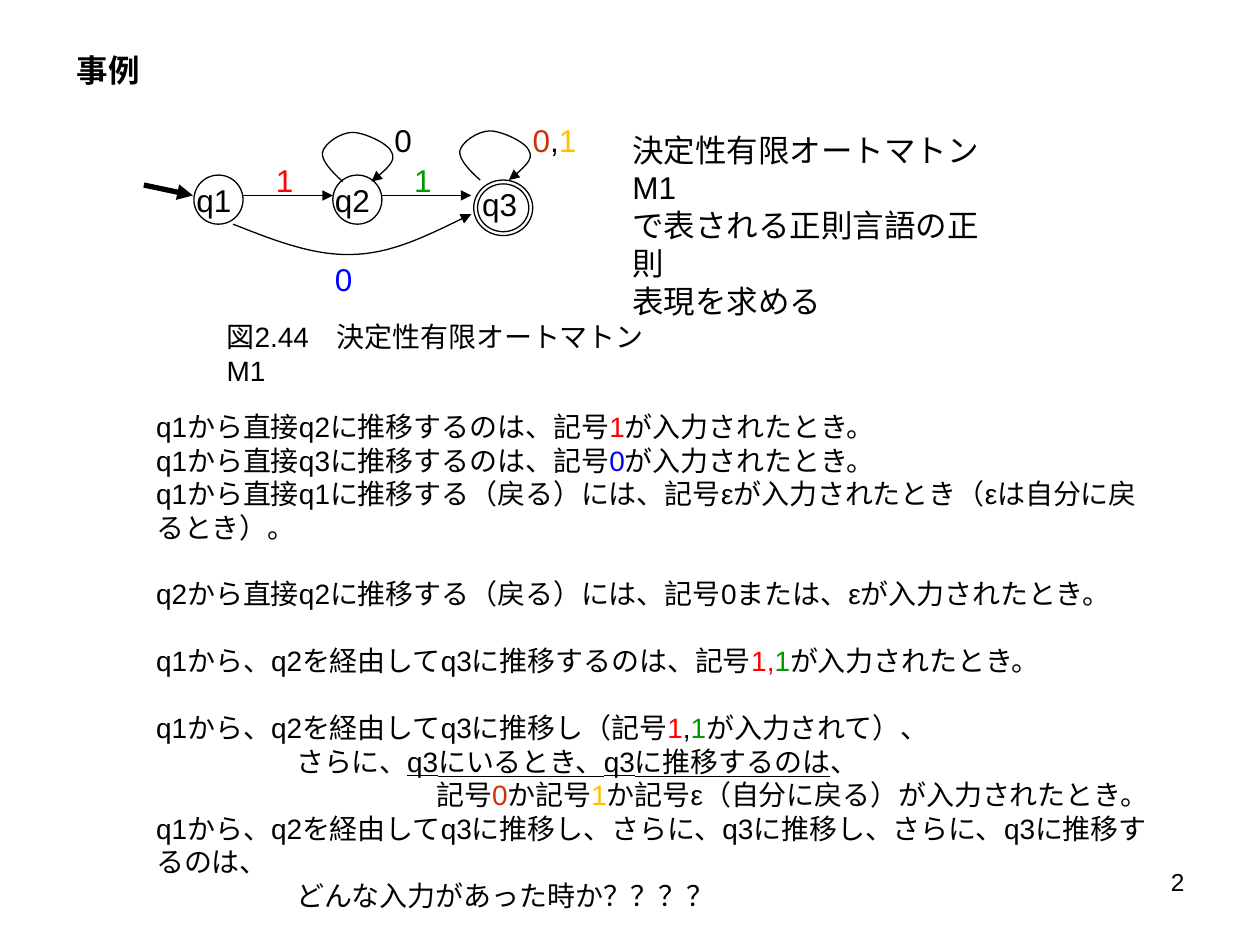
"""Build a slide about the regular expression of the finite automaton M1."""
import pptx
import pptx.dml.color
import pptx.enum.shapes
import pptx.enum.text
import pptx.oxml
import pptx.oxml.ns
import pptx.util
from pptx.util import Cm

COLORS = {"black": "000000", "red": "FF0000", "blue": "0000FF", "green": "009900",
          "brown": "CC3300", "gold": "FFC000"}

TEXTS = [
    ((1.3, 0.91, 21.21, 1.02), 18, True, [["事例"]]),
    ((12.5, 2.51, 7.82, 2.54), 18, False,
     [["決定性有限オートマトンM1"], ["で表される正則言語の正則"], ["表現を求める"]]),
    ((4.32, 6.32, 9.04, 0.94), 16, False, [["図2.44　決定性有限オートマトンM1"]]),
]
LABELS = [
    (3.71, 3.53, 1.22, ["q1"]),
    (6.5, 3.53, 1.22, ["q2"]),
    (9.47, 3.61, 1.7, ["q3"]),
    (6.5, 5.11, 0.86, [("0", "blue")]),
    (5.31, 3.12, 0.86, [("1", "red")]),
    (8.1, 3.12, 0.86, [("1", "green")]),
    (7.7, 2.31, 0.86, ["0"]),
    (10.49, 2.31, 2, [("0", "brown"), ",", ("1", "gold")]),
]
BODY_BOX = (2.9, 8.13, 20.78, 9.83)
BODY = [
    (0, 0, ["q1から直接q2に推移するのは、記号", ("1", "red"), "が入力されたとき。"]),
    (0, 0, ["q1から直接q3に推移するのは、記号", ("0", "blue"), "が入力されたとき。"]),
    (0, 0, ["q1から直接q1に推移する（戻る）には、記号εが入力されたとき（εは自分に戻るとき）。"]),
    (1, 0, ["q2から直接q2に推移する（戻る）には、記号0または、εが入力されたとき。"]),
    (1, 0, ["q1から、q2を経由してq3に推移するのは、記号", ("1,", "red"), ("1", "green"),
            "が入力されたとき。"]),
    (1, 0, ["q1から、q2を経由してq3に推移し（記号", ("1", "red"), ",", ("1", "green"),
            "が入力されて）、"]),
    (0, 5, ["さらに、", ("q3にいるとき、q3に推移するのは", "black", True), "、"]),
    (0, 10, ["記号", ("0", "brown"), "か記号", ("1", "gold"),
             "か記号ε（自分に戻る）が入力されたとき。"]),
    (0, 0, ["q1から、q2を経由してq3に推移し、さらに、q3に推移し、さらに、q3に推移するのは、"]),
    (0, 5, ["どんな入力があった時か？？？？"]),
]
BODY_SIZE = 16
BODY_GAP = 19
STATES = [("OVAL", (3.91, 3.53, 0.99, 0.99)), ("OVAL", (6.71, 3.53, 0.99, 0.99)),
          ("DONUT", (9.55, 3.63, 1.19, 1.12))]
ARROWS = [((4.9, 3.94), (6.71, 3.94), 0.75), ((7.7, 3.94), (9.5, 3.94), 0.75),
          ((2.9, 3.73), (3.89, 3.94), 3)]
LOOP = [(-0.23, -0.2), (-0.43, -0.43), (-0.41, -0.58), (-0.38, -0.76), (-0.05, -0.99),
        (0.2, -0.99), (0.43, -0.99), (0.94, -0.76), (0.99, -0.58), (1.07, -0.43),
        (0.84, -0.2), (0.58, 0)]
ARC = [(0.79, 0.31), (1.6, 0.64), (2.41, 0.61), (3.2, 0.59), (4.01, 0.18), (4.8, -0.2)]
CURVES = [((4.7, 4.52), ARC), ((6.91, 3.66), LOOP), ((9.68, 3.63), LOOP)]


def color(name):
    return pptx.dml.color.RGBColor.from_string(COLORS[name])


def add_runs(paragraph, runs, size, bold=False):
    for entry in runs:
        text, name, underline = ((entry,) if isinstance(entry, str) else entry) + ("black", False)[
            (0 if isinstance(entry, str) else len(entry) - 1):]
        run = paragraph.add_run()
        run.text = text
        run.font.name = "Arial"
        run.font.size = pptx.util.Pt(size)
        run.font.bold = bold
        run.font.underline = underline
        run.font.color.rgb = color(name)


def add_text(slide, box, paragraphs, size, bold=False, wrap=True):
    frame = slide.shapes.add_textbox(*map(Cm, box)).text_frame
    frame.word_wrap = wrap
    for index, runs in enumerate(paragraphs):
        paragraph = frame.add_paragraph() if index else frame.paragraphs[0]
        add_runs(paragraph, runs, size, bold)
    return frame


def style_line(shape, width=0.75, arrow=False):
    shape.line.color.rgb = color("black")
    shape.line.width = pptx.util.Pt(width)
    if arrow:
        tail = pptx.oxml.parse_xml(
            f'<a:tailEnd {pptx.oxml.ns.nsdecls("a")} type="triangle"/>')
        shape.line._get_or_add_ln().append(tail)


def add_arrow(slide, start, end, width):
    connector = slide.shapes.add_connector(
        pptx.enum.shapes.MSO_CONNECTOR.STRAIGHT, *map(Cm, start + end))
    style_line(connector, width, True)
    connector._element.spPr.append(
        pptx.oxml.parse_xml(f'<a:effectLst {pptx.oxml.ns.nsdecls("a")}/>'))


def add_curve(slide, start, offsets):
    points = [(Cm(start[0] + x), Cm(start[1] + y)) for x, y in offsets]
    builder = slide.shapes.build_freeform(Cm(start[0]), Cm(start[1]))
    builder.add_line_segments(points, close=False)
    shape = builder.convert_to_shape()
    shape.shadow.inherit = False
    shape.fill.background()
    style_line(shape, arrow=True)
    segments = shape._element.xpath(".//a:lnTo")
    outline = segments[0].getparent()
    for first in range(0, len(segments), 3):
        bezier = pptx.oxml.parse_xml(f'<a:cubicBezTo {pptx.oxml.ns.nsdecls("a")}/>')
        for segment in segments[first:first + 3]:
            bezier.append(segment[0])
            outline.remove(segment)
        outline.append(bezier)


def add_state(slide, kind, box):
    shape = slide.shapes.add_shape(
        getattr(pptx.enum.shapes.MSO_SHAPE, kind), *map(Cm, box))
    if kind == "DONUT":
        shape.adjustments[0] = 0.07
    shape.shadow.inherit = False
    shape.fill.background()
    style_line(shape)


def add_body(slide):
    frame = add_text(slide, BODY_BOX, [runs for _, _, runs in BODY], BODY_SIZE)
    for paragraph, (gap, indent, _) in zip(frame.paragraphs, BODY):
        paragraph.space_before = pptx.util.Pt(gap * BODY_GAP)
        properties = paragraph._p.get_or_add_pPr()
        properties.set("marL", "0")
        properties.set("indent", str(pptx.util.Pt(indent * BODY_SIZE)))


def main():
    presentation = pptx.Presentation()
    presentation.slide_width, presentation.slide_height = Cm(25.4), Cm(19.05)
    slide = presentation.slides.add_slide(presentation.slide_layouts[6])
    for box, size, bold, paragraphs in TEXTS:
        add_text(slide, box, paragraphs, size, bold)
    for kind, box in STATES:
        add_state(slide, kind, box)
    for arrow in ARROWS:
        add_arrow(slide, *arrow)
    for start, offsets in CURVES:
        add_curve(slide, start, offsets)
    for left, top, width, runs in LABELS:
        add_text(slide, (left, top, width, 1.02), [runs], 18, wrap=False)
    add_body(slide)
    number = add_text(slide, (18.21, 17.35, 5.92, 1.32), [["2"]], 14)
    number.paragraphs[0].alignment = pptx.enum.text.PP_ALIGN.RIGHT
    presentation.save("out.pptx")


if __name__ == "__main__":
    main()
